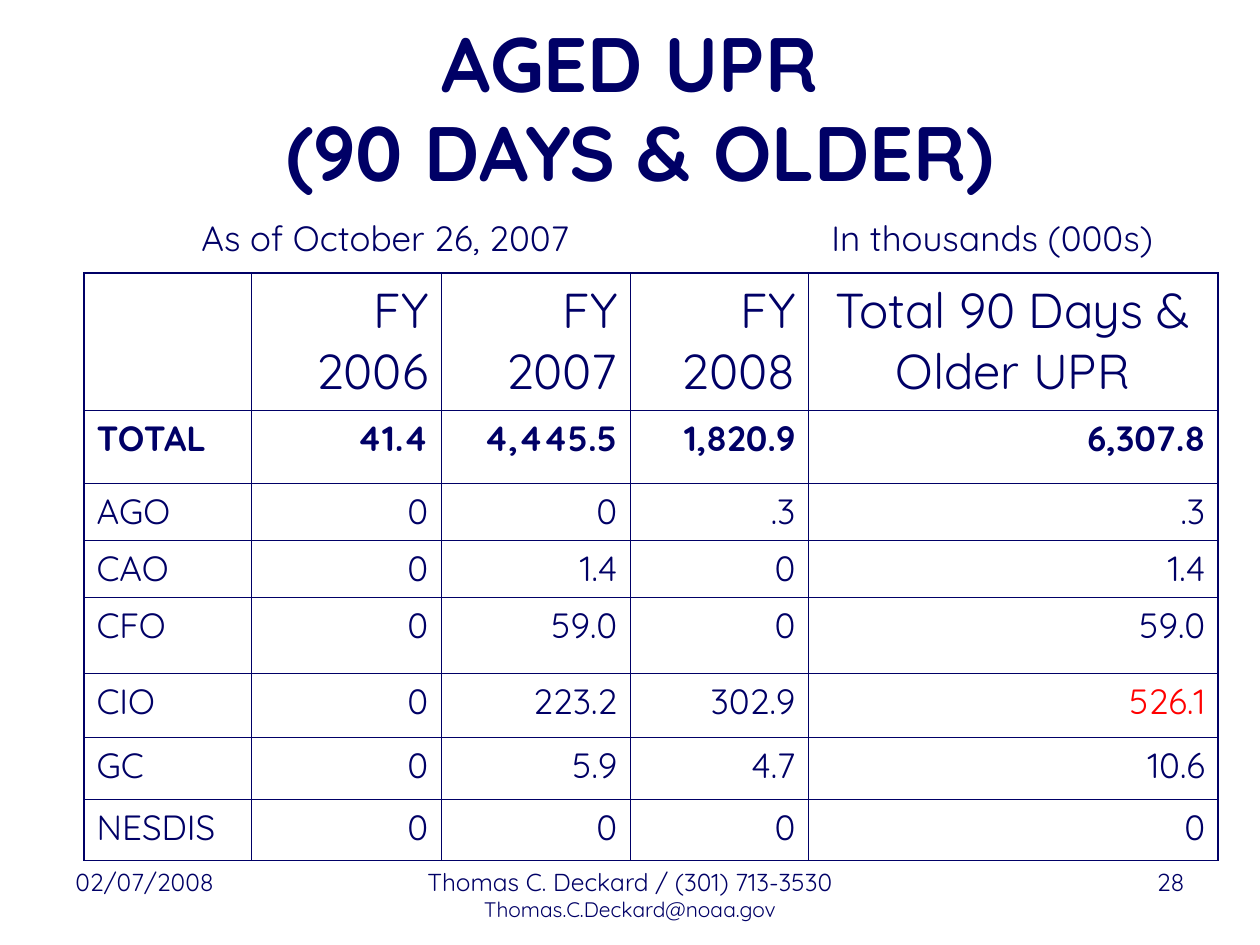
import pptx
import pptx.dml.color
import pptx.enum.text
import pptx.oxml.ns
import pptx.util
from dataclasses import dataclass
from lxml import etree

Pt = pptx.util.Pt
ALIGN = pptx.enum.text.PP_ALIGN
ANCHOR = pptx.enum.text.MSO_ANCHOR
NAVY = pptx.dml.color.RGBColor(0x00, 0x00, 0x66)
RED = pptx.dml.color.RGBColor(0xFF, 0x00, 0x00)
FONT = "Quicksand"
THIN, THICK = 0.45, 1.08


@dataclass
class Line:
    text: str
    size: float
    align: ALIGN = ALIGN.LEFT
    bold: bool = False
    color: pptx.dml.color.RGBColor = NAVY


@dataclass
class Box:
    left: float
    top: float
    width: float
    height: float
    lines: list[Line]


# Text around the table
TITLE = Box(42, 18, 648, 90, [
    Line("AGED UPR \v(90 DAYS & OLDER)", 44, ALIGN.CENTER, True)])
DATE = Box(36, 120, 336, 32, [Line("As of October 26, 2007", 20)])
UNIT = Box(468, 120, 222, 32, [Line("In thousands (000s)", 20)])
FOOT = [
    Box(36, 492, 168, 37.5, [Line("02/07/2008", 14)]),
    Box(204, 492, 312, 37.5, [
        Line("Thomas C. Deckard / (301) 713-3530", 14, ALIGN.CENTER),
        Line("Thomas.C.Deckard@noaa.gov", 12, ALIGN.CENTER)]),
    Box(516, 492, 168, 37.5, [Line("28", 14, ALIGN.RIGHT)]),
]

# Table content
COLS = [95.75, 108.25, 108, 101.75, 234.25]
HIGHS = [78.3, 41.8, 32.6, 32.4, 43.8, 36.6, 35.3, 34.9]
ROWS = [
    ["", "FY 2006", "FY 2007", "FY 2008", "Total 90 Days & Older UPR"],
    ["TOTAL", "41.4", "4,445.5", "1,820.9", "6,307.8"],
    ["AGO", "0", "0", ".3", ".3"],
    ["CAO", "0", "1.4", "0", "1.4"],
    ["CFO", "0", "59.0", "0", "59.0"],
    ["CIO", "0", "223.2", "302.9", "526.1"],
    ["GC", "0", "5.9", "4.7", "10.6"],
    ["NESDIS", "0", "0", "0", "0"],
]
ALERT = (5, 4)


def write(para, line: Line) -> None:
    para.text = line.text
    para.alignment = line.align
    for run in para.runs:
        font = run.font
        font.name, font.size, font.bold = FONT, Pt(line.size), line.bold
        font.color.rgb = line.color


def draw_box(slide, box: Box):
    shape = slide.shapes.add_textbox(
        Pt(box.left), Pt(box.top), Pt(box.width), Pt(box.height))
    frame = shape.text_frame
    frame.word_wrap = True
    for i, line in enumerate(box.lines):
        write(frame.add_paragraph() if i else frame.paragraphs[0], line)
    return frame


def edge(cell, side: str, width: float) -> None:
    qn = pptx.oxml.ns.qn
    props = cell._tc.get_or_add_tcPr()
    line = etree.SubElement(props, qn(f"a:ln{side}"), w=str(int(Pt(width))))
    fill = etree.SubElement(line, qn("a:solidFill"))
    etree.SubElement(fill, qn("a:srgbClr"), val=str(NAVY))


def style(row: int, col: int) -> Line:
    if col == 0:
        align = ALIGN.LEFT
    elif row == 0 and col == len(COLS) - 1:
        align = ALIGN.CENTER
    else:
        align = ALIGN.RIGHT
    return Line(ROWS[row][col], 20 if row else 28, align, row == 1,
                RED if (row, col) == ALERT else NAVY)


def draw_table(slide, left: float, top: float) -> None:
    table = slide.shapes.add_table(
        len(ROWS), len(COLS), Pt(left), Pt(top),
        Pt(sum(COLS)), Pt(sum(HIGHS))).table
    table.first_row = table.horz_banding = False
    for col, width in zip(table.columns, COLS):
        col.width = Pt(width)
    for row, height in zip(table.rows, HIGHS):
        row.height = Pt(height)
    for r in range(len(ROWS)):
        for c in range(len(COLS)):
            cell = table.cell(r, c)
            write(cell.text_frame.paragraphs[0], style(r, c))
            # Thick lines on the outer frame only
            outer = {"L": c == 0, "R": c == len(COLS) - 1,
                     "T": r == 0, "B": r == len(ROWS) - 1}
            for side, thick in outer.items():
                edge(cell, side, THICK if thick else THIN)
            cell.fill.background()


def main() -> None:
    deck = pptx.Presentation()
    deck.slide_width, deck.slide_height = Pt(720), Pt(540)
    slide = deck.slides.add_slide(deck.slide_layouts[6])

    # Footer
    for box in FOOT:
        draw_box(slide, box)

    # Title
    frame = draw_box(slide, TITLE)
    frame.vertical_anchor = ANCHOR.MIDDLE
    frame.paragraphs[0].line_spacing = 0.97

    # Table
    draw_table(slide, 48, 156)

    # Notes above the table, the date with a hanging indent
    draw_box(slide, UNIT)
    props = draw_box(slide, DATE).paragraphs[0]._p.get_or_add_pPr()
    props.set("marL", str(int(Pt(90))))
    props.set("indent", str(int(Pt(-18))))

    deck.save("out.pptx")


if __name__ == "__main__":
    main()
